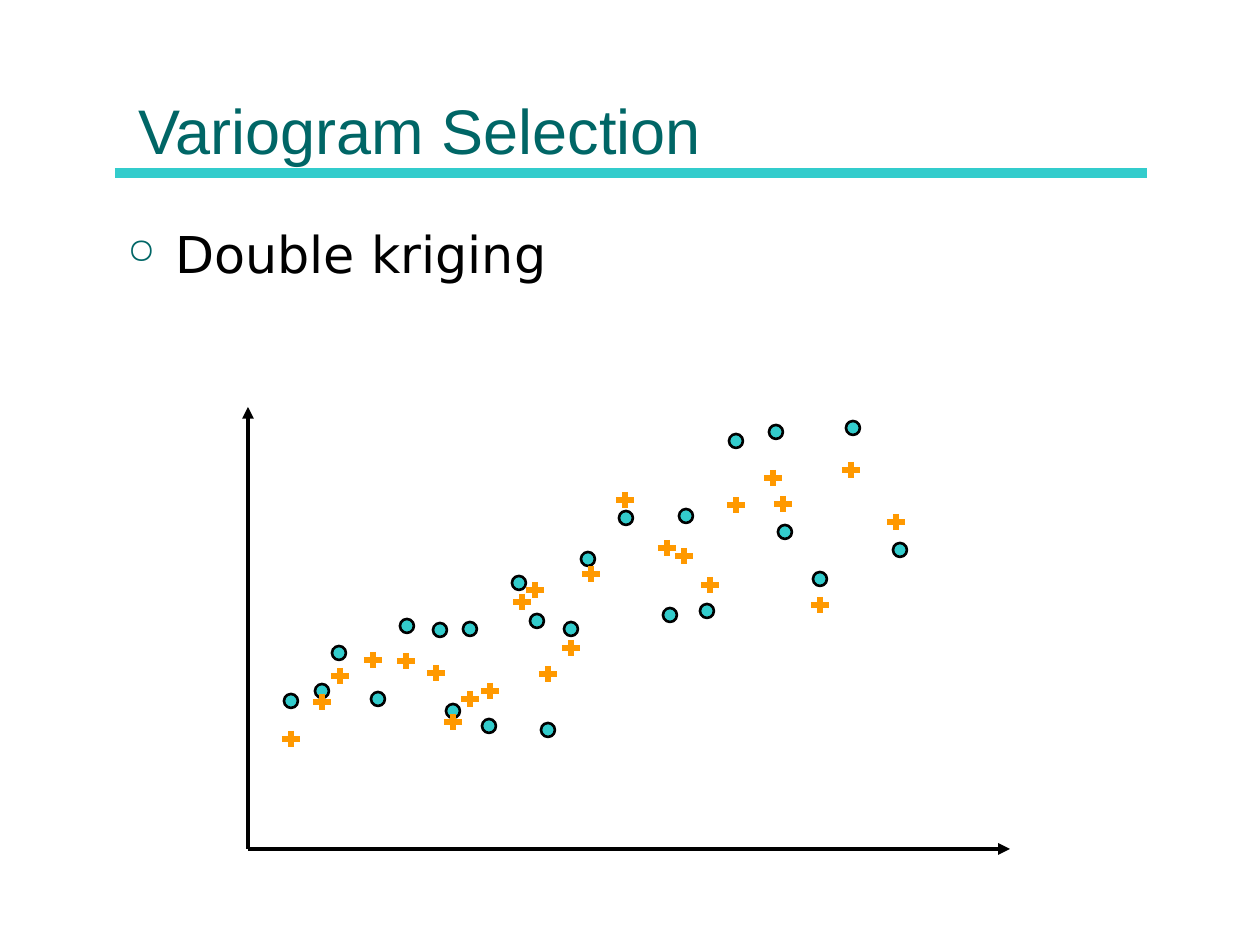
"""Build the Variogram Selection slide with its double kriging scatter sketch."""
from lxml import etree
from pptx import Presentation
from pptx.dml.color import RGBColor
from pptx.enum.shapes import MSO_CONNECTOR, MSO_SHAPE
from pptx.enum.text import MSO_ANCHOR
from pptx.oxml.ns import qn
from pptx.util import Emu, Pt

STRAIGHT = MSO_CONNECTOR.STRAIGHT
OVAL = MSO_SHAPE.OVAL
TOP, BOTTOM = MSO_ANCHOR.TOP, MSO_ANCHOR.BOTTOM

TITLE = "Variogram Selection"
BULLET = "Double kriging"
COLORS = {"title": "006666", "rule": "33CCCC", "text": "000000",
          "sample": "33CCCC", "estimate": "FF9900", "axis": "000000"}
SAMPLES = [
    (291, 701), (322, 691), (339, 653), (378, 699), (407, 626), (440, 630),
    (470, 629), (453, 711), (489, 726), (548, 730), (519, 583), (537, 621),
    (571, 629), (588, 559), (626, 518), (670, 615), (707, 611), (686, 516),
    (736, 441), (776, 432), (785, 532), (820, 579), (853, 428), (900, 550),
]
ESTIMATES = [
    (291, 739), (322, 702), (340, 676), (373, 660), (406, 661), (436, 673),
    (453, 722), (470, 699), (490, 691), (548, 674), (571, 648), (522, 602),
    (535, 590), (591, 574), (625, 500), (667, 548), (684, 556), (710, 585),
    (736, 505), (773, 478), (783, 504), (820, 605), (851, 470), (896, 522),
]
ORIGIN, X_END, Y_END = (248, 849), (1010, 849), (248, 407)
DOT = 14
ARM_X, ARM_Y = 9, 8


def px(n):
    return Emu(round(n * 914400 / 126))


def rgb(name):
    return RGBColor.from_string(COLORS[name])


def add_line(shapes, start, end, color, width, arrow=False):
    s = shapes.add_connector(STRAIGHT, *map(px, start + end))
    s.line.color.rgb = rgb(color)
    s.line.width = Pt(width)
    if arrow:
        etree.SubElement(s.line._get_or_add_ln(), qn("a:tailEnd"), type="triangle")
    etree.SubElement(s._element.spPr, qn("a:effectLst"))


def add_text(shapes, box, text, font, size, color, anchor):
    tf = shapes.add_textbox(*map(px, box)).text_frame
    tf.word_wrap = True
    tf.vertical_anchor = anchor
    p = tf.paragraphs[0]
    p.text = text
    p.font.name = font
    p.font.size = Pt(size)
    p.font.color.rgb = rgb(color)
    return p


def add_bullet(p, char, color, percent, indent):
    pPr = p._p.get_or_add_pPr()
    pPr.set("marL", str(px(indent)))
    pPr.set("indent", str(-px(indent)))
    bu_clr = etree.Element(qn("a:buClr"))
    etree.SubElement(bu_clr, qn("a:srgbClr"), val=COLORS[color])
    bu_size = etree.Element(qn("a:buSzPct"), val=str(percent * 1000))
    bu_char = etree.Element(qn("a:buChar"), char=char)
    for i, el in enumerate((bu_clr, bu_size, bu_char)):
        pPr.insert(i, el)


def add_dot(shapes, x, y):
    s = shapes.add_shape(OVAL, px(x - DOT / 2), px(y - DOT / 2), px(DOT), px(DOT))
    s.shadow.inherit = False
    s.fill.solid()
    s.fill.fore_color.rgb = rgb("sample")
    s.line.color.rgb = rgb("axis")
    s.line.width = Pt(1.5)


def add_cross(shapes, x, y):
    group = shapes.add_group_shape().shapes
    add_line(group, (x, y - ARM_Y), (x, y + ARM_Y), "estimate", 3)
    add_line(group, (x - ARM_X, y), (x + ARM_X, y), "estimate", 3)


def main():
    prs = Presentation()
    prs.slide_width, prs.slide_height = px(1260), px(945)
    shapes = prs.slides.add_slide(prs.slide_layouts[6]).shapes

    add_line(shapes, (115, 173), (1147, 173), "rule", 6)
    add_text(shapes, (126, 15, 1008, 158), TITLE, "Arial", 36, "title", BOTTOM)
    p = add_text(shapes, (115, 217, 1032, 567), BULLET, "DejaVu Sans", 29, "text", TOP)
    add_bullet(p, "○", "title", 70, 48)

    for x, y in SAMPLES:
        add_dot(shapes, x, y)
    for x, y in ESTIMATES:
        add_cross(shapes, x, y)
    axes = shapes.add_group_shape().shapes
    for end in (Y_END, X_END):
        add_line(axes, ORIGIN, end, "axis", 2.25, arrow=True)

    prs.save("out.pptx")


if __name__ == "__main__":
    main()
